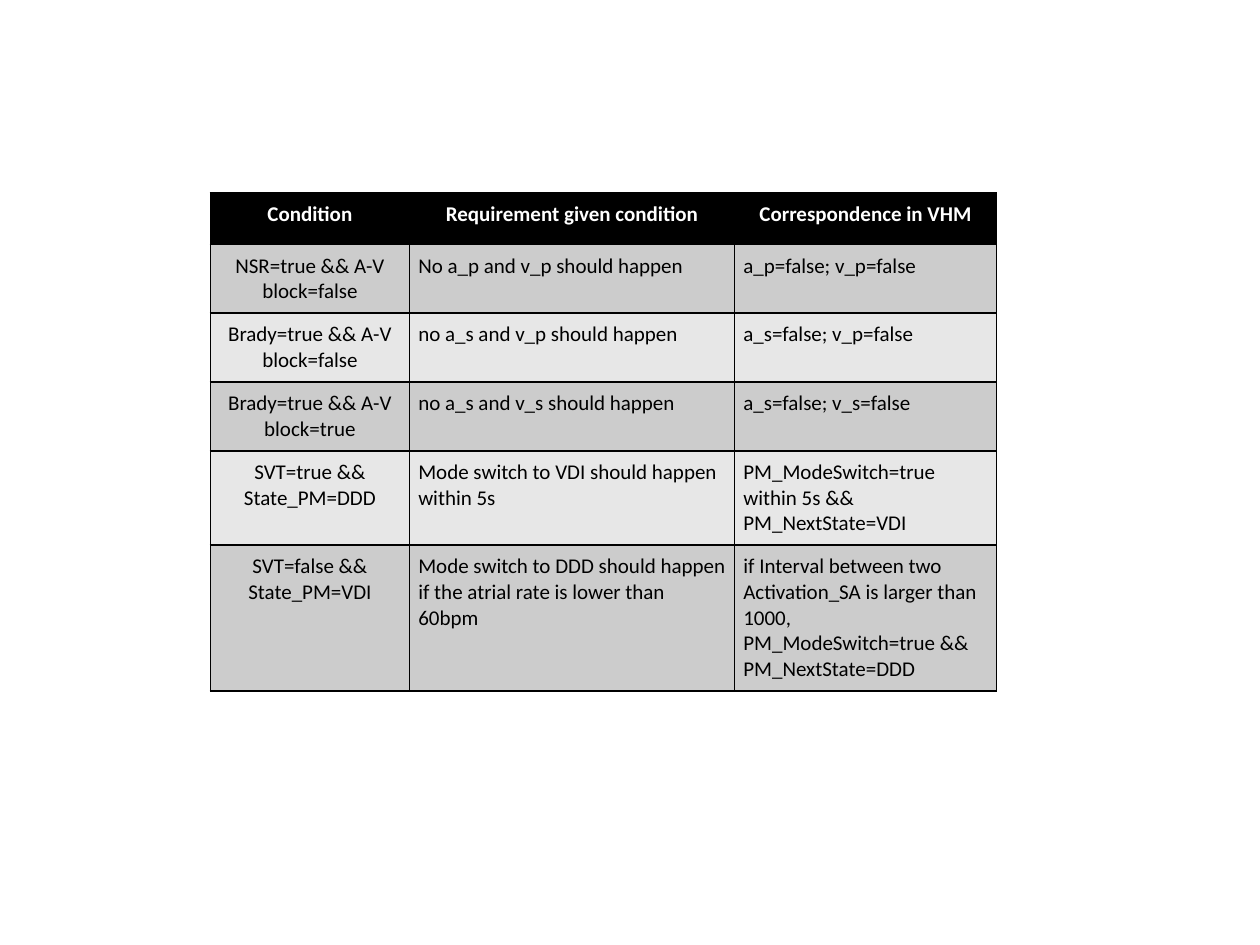
from lxml import etree
from pptx import Presentation
from pptx.dml.color import RGBColor
from pptx.enum.text import MSO_ANCHOR, PP_ALIGN
from pptx.oxml.ns import qn
from pptx.util import Inches, Pt

BLACK = RGBColor(0x00, 0x00, 0x00)
WHITE = RGBColor(0xFF, 0xFF, 0xFF)
DARK_BAND = RGBColor(0xCC, 0xCC, 0xCC)
LIGHT_BAND = RGBColor(0xE7, 0xE7, 0xE7)
LEFT, CENTER = PP_ALIGN.LEFT, PP_ALIGN.CENTER
TOP = MSO_ANCHOR.TOP

COL_WIDTHS = [1.58, 2.58, 2.08]
ROW_HEIGHT = 0.41
INSET = Inches(0.07)
ROWS = [
    ["Condition", "Requirement given condition", "Correspondence in VHM"],
    ["NSR=true && A-V block=false", "No a_p and v_p should happen",
     "a_p=false; v_p=false"],
    ["Brady=true && A-V block=false", "no a_s and v_p should happen",
     "a_s=false; v_p=false"],
    ["Brady=true && A-V block=true", "no a_s and v_s should happen",
     "a_s=false; v_s=false"],
    ["SVT=true && State_PM=DDD", "Mode switch to VDI should happen within 5s",
     "PM_ModeSwitch=true within 5s && PM_NextState=VDI"],
    ["SVT=false &&\nState_PM=VDI",
     "Mode switch to DDD should happen if the atrial rate is lower than 60bpm",
     "if Interval between two Activation_SA is larger than 1000, "
     "PM_ModeSwitch=true && PM_NextState=DDD"],
]


def write_cell(cell, text, fill=WHITE, color=BLACK, bold=False, align=LEFT):
    """Fill a cell and write its text, one paragraph per line."""
    cell.margin_left = cell.margin_right = INSET
    cell.margin_top = cell.margin_bottom = INSET
    cell.vertical_anchor = TOP
    cell.text = text
    for p in cell.text_frame.paragraphs:
        p.alignment = align
        font = p.runs[0].font
        font.name, font.size, font.bold = "Calibri", Pt(12), bold
        font.color.rgb = color
    cell.fill.solid()
    cell.fill.fore_color.rgb = fill


def add_borders(cell, color=BLACK, width=1):
    """Draw a solid line on all four sides of a cell."""
    tc_pr = cell._tc.get_or_add_tcPr()
    for i, side in enumerate(["a:lnL", "a:lnR", "a:lnT", "a:lnB"]):
        ln = etree.Element(qn(side), w=str(Pt(width)))
        solid = etree.SubElement(ln, qn("a:solidFill"))
        etree.SubElement(solid, qn("a:srgbClr"), val=str(color))
        tc_pr.insert(i, ln)


prs = Presentation()
prs.slide_width, prs.slide_height = Inches(10), Inches(7.5)
s = prs.slides.add_slide(prs.slide_layouts[6])

frame = s.shapes.add_table(len(ROWS), len(COL_WIDTHS), Inches(1.67), Inches(1.53),
                           Inches(6.25), Inches(ROW_HEIGHT * len(ROWS)))
table = frame.table
for column, width in zip(table.columns, COL_WIDTHS):
    column.width = Inches(width)

for i, texts in enumerate(ROWS):
    table.rows[i].height = Inches(ROW_HEIGHT)
    header = i == 0
    band = DARK_BAND if i % 2 else LIGHT_BAND
    for j, text in enumerate(texts):
        cell = table.cell(i, j)
        write_cell(cell, text, fill=BLACK if header else band,
                   color=WHITE if header else BLACK, bold=header,
                   align=CENTER if header or j == 0 else LEFT)
        add_borders(cell)
frame.height = Inches(3.93)

prs.save("out.pptx")
